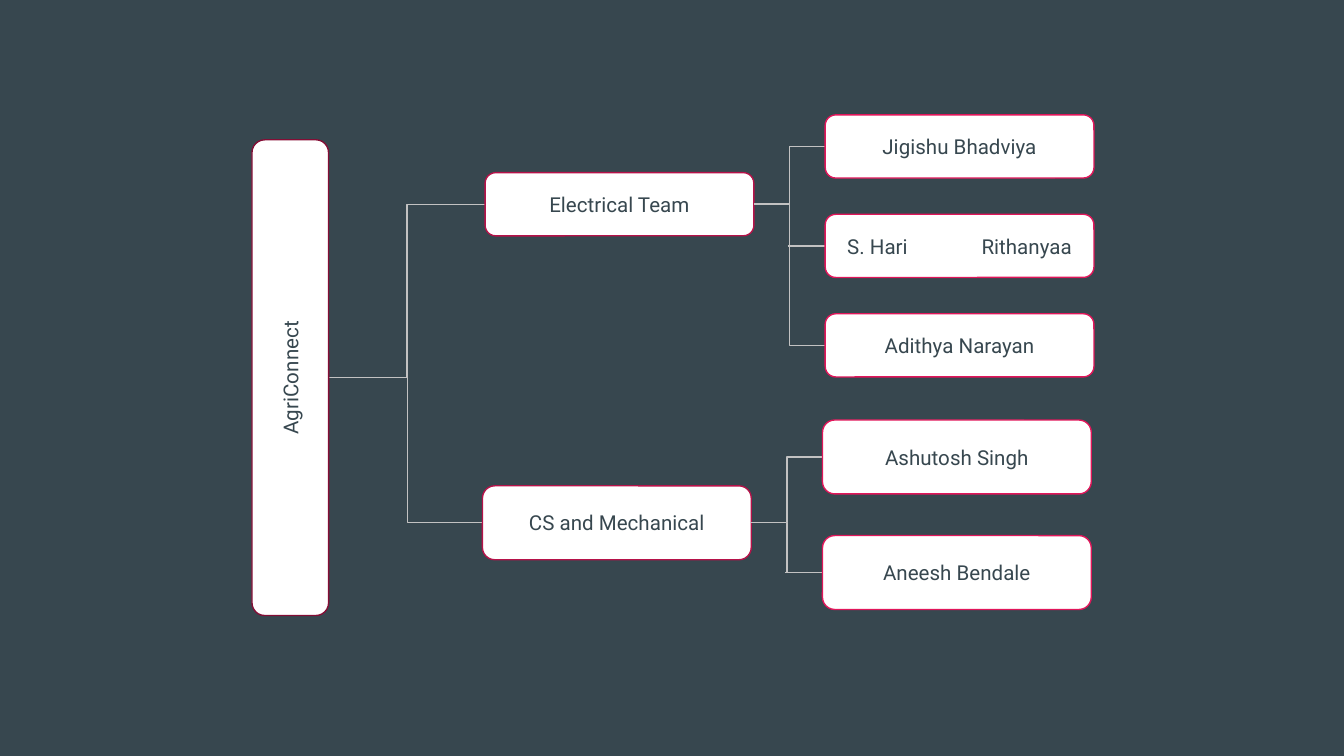
from dataclasses import dataclass

from lxml import etree
from pptx import Presentation
from pptx import util as u
from pptx.dml.color import RGBColor
from pptx.enum import shapes, text
from pptx.oxml import ns

SLATE = RGBColor(0x37, 0x47, 0x4F)
WHITE = RGBColor(0xFF, 0xFF, 0xFF)
GREY = RGBColor(0xC2, 0xC2, 0xC2)
ROOT_LINE = RGBColor(0x84, 0x0D, 0x35)
TEAM_LINE = RGBColor(0xB6, 0x12, 0x49)
MEMBER_LINE = RGBColor(0xE1, 0x16, 0x5A)

BOX_WIDTH = 2.0
MEMBER_OFFSET = 2.53  # from a team's left edge to its members' left edge
STUB = 0.28
TRUNK = 3.03  # where the branches to the teams part
ROOT_X, ROOT_Y = 2.16, 2.81
ROOT_LENGTH, ROOT_DEPTH = 3.54, 0.57


@dataclass
class Team:
    name: str
    left: float
    middle: float
    height: float
    first_member: float  # middle of the first member box
    pitch: float
    members: tuple


TEAMS = (
    Team("CS and Mechanical", 3.59, 3.89, 0.55, 3.4, 0.86,
         ("Ashutosh Singh", "Aneesh Bendale")),
    Team("Electrical Team", 3.61, 1.52, 0.47, 1.09, 0.74,
         ("Jigishu Bhadviya", "S. Hari \tRithanyaa", "Adithya Narayan")),
)


def add_box(page, label, center, middle, width, height, line_color, rotation=0):
    box = page.shapes.add_shape(
        shapes.MSO_SHAPE.ROUNDED_RECTANGLE,
        u.Inches(center - width / 2), u.Inches(middle - height / 2),
        u.Inches(width), u.Inches(height))
    box.rotation = rotation
    box.shadow.inherit = False
    box.fill.solid()
    box.fill.fore_color.rgb = WHITE
    box.line.color.rgb = line_color
    box.line.width = u.Pt(0.75)

    frame = box.text_frame
    frame.word_wrap = True
    frame.vertical_anchor = text.MSO_ANCHOR.MIDDLE
    frame.margin_left = frame.margin_right = u.Inches(0.1)
    frame.margin_top = frame.margin_bottom = u.Inches(0.1)
    frame.text = label
    para = frame.paragraphs[0]
    para.alignment = text.PP_ALIGN.CENTER
    # Tab stops every inch
    para._p.get_or_add_pPr().set("defTabSz", str(u.Inches(1)))
    for span in para.runs:
        span.font.name = "Roboto"
        span.font.size = u.Pt(11)
        span.font.color.rgb = SLATE


def add_link(page, start, end, kind=shapes.MSO_CONNECTOR.ELBOW):
    link = page.shapes.add_connector(
        kind, *(u.Inches(length) for length in (*start, *end)))
    link.line.color.rgb = GREY
    link.line.width = u.Pt(0.75)
    etree.SubElement(link._element.spPr, ns.qn("a:effectLst"))


def add_team(page, team):
    # Branch from the root, bending halfway at the trunk
    add_link(page, (2 * TRUNK - team.left, ROOT_Y), (team.left, team.middle))
    add_box(page, team.name, team.left + BOX_WIDTH / 2, team.middle,
            BOX_WIDTH, team.height, TEAM_LINE)

    # Members: elbows to the first and last, a short stub to the second
    left = team.left + MEMBER_OFFSET
    for index, name in enumerate(team.members):
        middle = team.first_member + index * team.pitch
        if index in (0, len(team.members) - 1):
            add_link(page, (team.left + BOX_WIDTH, team.middle), (left, middle))
        if index == 1:
            add_link(page, (left - STUB, middle), (left, middle),
                     shapes.MSO_CONNECTOR.STRAIGHT)
        add_box(page, name, left + BOX_WIDTH / 2, middle,
                BOX_WIDTH, team.height, MEMBER_LINE)


def main():
    deck = Presentation()
    deck.slide_width = u.Inches(10)
    deck.slide_height = deck.slide_width * 9 // 16
    page = deck.slides.add_slide(deck.slide_layouts[6])
    page.background.fill.solid()
    page.background.fill.fore_color.rgb = SLATE

    for team in TEAMS:
        add_team(page, team)
    # Root, standing upright
    add_box(page, "AgriConnect", ROOT_X, ROOT_Y, ROOT_LENGTH, ROOT_DEPTH,
            ROOT_LINE, rotation=270)
    deck.save("out.pptx")


if __name__ == "__main__":
    main()
